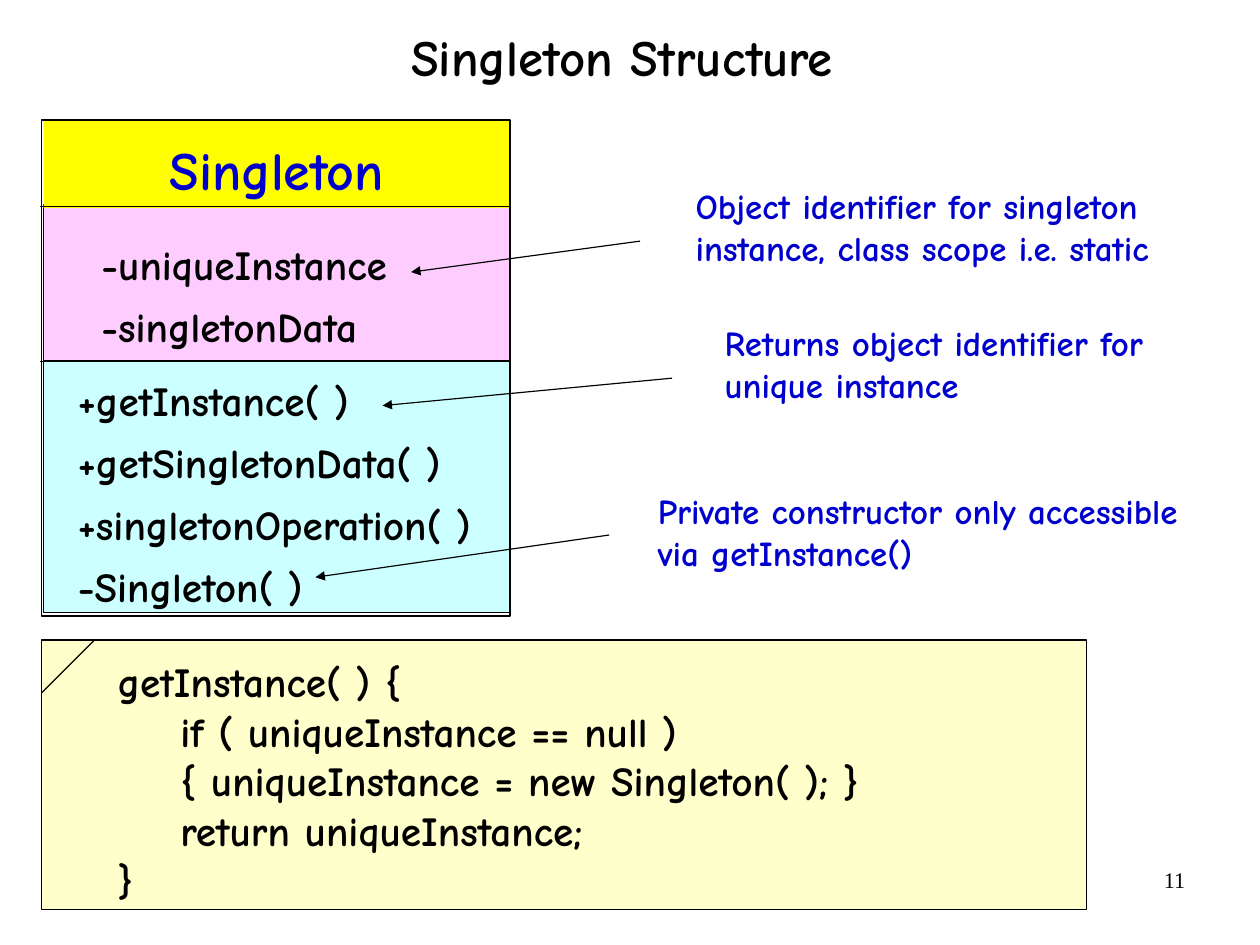
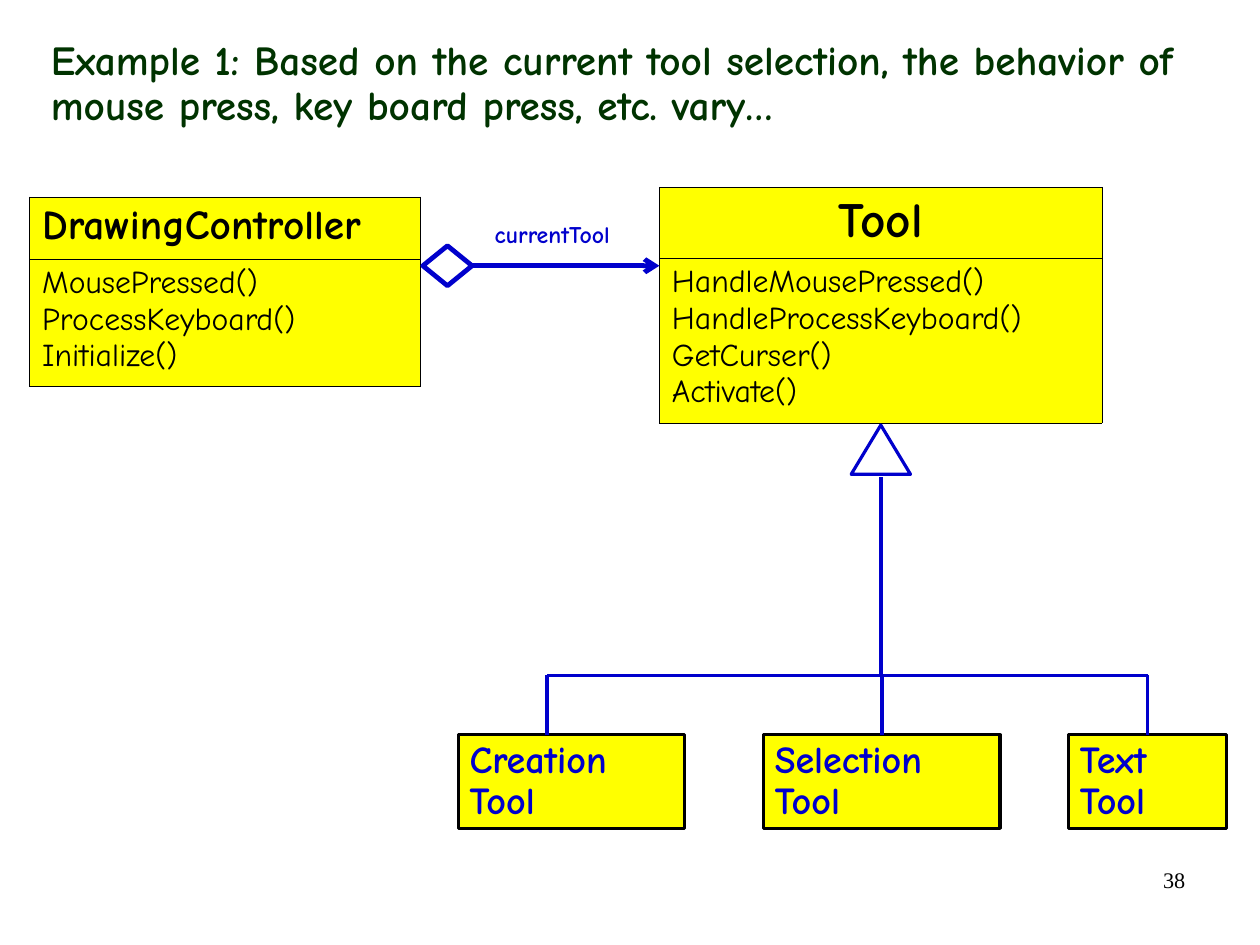
from dataclasses import dataclass

from lxml import etree
from pptx import Presentation
from pptx.dml.color import RGBColor
from pptx.enum.shapes import MSO_CONNECTOR, MSO_SHAPE
from pptx.enum.text import MSO_ANCHOR, PP_ALIGN
from pptx.oxml.ns import qn
from pptx.util import Pt


@dataclass(frozen=True)
class Theme:
    font: str = "Comic Neue"
    number_font: str = "Times New Roman"
    black: str = "000000"
    white: str = "FFFFFF"
    blue: str = "0000CC"
    green: str = "003300"
    yellow: str = "FFFF00"
    pink: str = "FFCCFF"
    cyan: str = "CCFFFF"
    cream: str = "FFFFCC"
    title: float = 32
    class_name: float = 34
    body: float = 26
    subclass: float = 24
    note: float = 22
    method: float = 20
    label: float = 15
    number: float = 14
    thin: float = 0.75
    cell_line: float = 0.45


T = Theme()
SLIDE_W, SLIDE_H = 793.75, 595.25
CODE_INDENT = 39.6

# Slide 1
ATTRIBUTES = ["-uniqueInstance", "-singletonData"]
OPERATIONS = ["+getInstance( )", "+getSingletonData( )",
              "+singletonOperation( )", "-Singleton( )"]
CODE = [
    ("getInstance( ) {", 0),
    ("if ( uniqueInstance == null )", 1),
    ("{ uniqueInstance = new Singleton( ); }", 1),
    ("return uniqueInstance;", 1),
    ("}", 0),
]
# lines, text box, arrow start, arrow end
NOTES = [
    (["Object identifier for singleton", "instance, class scope i.e. static"],
     (430.3, 111.9, 310, 60.5), (403.2, 151.9), (259, 171.4)),
    (["Returns object identifier for", "unique instance"],
     (448.6, 198.3, 295, 60.5), (423.4, 238.2), (241, 255.5)),
    (["Private constructor only accessible", "via getInstance()"],
     (406.5, 304.2, 355, 60.5), (383.8, 337), (198.7, 363.6)),
]

# Slide 2
EXAMPLE = ("Example 1: Based on the current tool selection, the behavior of "
           "mouse press, key board press, etc. vary…")
# name, name size, alignment, methods, left, top, width, row heights
CLASSES = [
    ("DrawingController", 26, PP_ALIGN.LEFT,
     ["MousePressed()", "ProcessKeyboard()", "Initialize()"],
     18.7, 124.1, 246.2, (39.4, 79.8)),
    ("Tool", 31, PP_ALIGN.CENTER,
     ["HandleMousePressed()", "HandleProcessKeyboard()", "GetCurser()", "Activate()"],
     415.4, 117.9, 278.8, (45, 103.6)),
]
# name, left, width, x of the branch line
SUBCLASSES = [
    ("Creation Tool", 288.7, 142.6, 344.7),
    ("Selection Tool", 481, 149, 555.5),
    ("Text Tool", 673.2, 99.4, 722.9),
]


def rgb(color):
    return RGBColor.from_string(color)


def points(*values):
    return [Pt(v) for v in values]


def write(tf, lines, size, color=T.black, bold=True, font=T.font,
          align=PP_ALIGN.LEFT, spacing=None, gap=0):
    """Write one paragraph per line; a line is text or (text, indent level)."""
    for i, line in enumerate(lines):
        text, level = line if isinstance(line, tuple) else (line, 0)
        p = tf.paragraphs[0] if i == 0 else tf.add_paragraph()
        p.alignment = align
        p.space_before = p.space_after = Pt(gap)
        if spacing:
            p.line_spacing = spacing
        if level:
            p._p.get_or_add_pPr().set("marL", str(Pt(level * CODE_INDENT)))
        r = p.add_run()
        r.text = text
        r.font.name, r.font.size, r.font.bold = font, Pt(size), bold
        r.font.color.rgb = rgb(color)


def set_frame(tf, insets, anchor=MSO_ANCHOR.TOP):
    tf.word_wrap = True
    tf.vertical_anchor = anchor
    (tf.margin_left, tf.margin_top,
     tf.margin_right, tf.margin_bottom) = points(*insets)


def add_text(s, box, lines, size, insets=(7.2, 3.6, 7.2, 3.6),
             anchor=MSO_ANCHOR.TOP, **style):
    tf = s.shapes.add_textbox(*points(*box)).text_frame
    set_frame(tf, insets, anchor)
    write(tf, lines, size, **style)


def add_box(s, box, fill=None, line=T.black, width=T.thin, kind=MSO_SHAPE.RECTANGLE):
    sp = s.shapes.add_shape(kind, *points(*box))
    sp.shadow.inherit = False
    if fill:
        sp.fill.solid()
        sp.fill.fore_color.rgb = rgb(fill)
    else:
        sp.fill.background()
    if line:
        sp.line.color.rgb = rgb(line)
        sp.line.width = Pt(width)
    else:
        sp.line.fill.background()
    return sp


def add_filled_text(s, box, fill, lines, size, insets, line=T.black, width=T.thin, **style):
    sp = add_box(s, box, fill, line, width)
    set_frame(sp.text_frame, insets)
    write(sp.text_frame, lines, size, **style)
    return sp


def add_line(s, start, end, color=T.black, width=T.thin, head=None):
    c = s.shapes.add_connector(MSO_CONNECTOR.STRAIGHT, *points(*start, *end))
    c.line.color.rgb = rgb(color)
    c.line.width = Pt(width)
    if head:
        etree.SubElement(c.line._get_or_add_ln(), qn("a:tailEnd"), type=head)
    etree.SubElement(c._element.spPr, qn("a:effectLst"))
    return c


def add_number(s, number):
    add_text(s, (568.8, 541.9, 185, 41), [number], T.number, bold=False,
             font=T.number_font, align=PP_ALIGN.RIGHT)


def style_cell(cell):
    cell.fill.solid()
    cell.fill.fore_color.rgb = rgb(T.yellow)
    (cell.margin_left, cell.margin_top,
     cell.margin_right, cell.margin_bottom) = points(7.9, 3.6, 7.9, 3.6)
    tc_pr = cell._tc.get_or_add_tcPr()
    for i, side in enumerate(("lnL", "lnR", "lnT", "lnB")):
        ln = etree.Element(qn(f"a:{side}"), w=str(Pt(T.cell_line)))
        fill = etree.SubElement(ln, qn("a:solidFill"))
        etree.SubElement(fill, qn("a:srgbClr"), val=T.black)
        tc_pr.insert(i, ln)


def add_class(s, name, size, align, methods, left, top, width, heights):
    frame = s.shapes.add_table(2, 1, *points(left, top, width, sum(heights)))
    table = frame.table
    table.first_row = table.horz_banding = False
    for row, height in zip(table.rows, heights):
        row.height = Pt(height)
        style_cell(row.cells[0])
    write(table.cell(0, 0).text_frame, [name], size, align=align)
    write(table.cell(1, 0).text_frame, methods, T.method, bold=False)


def build_structure(s):
    add_number(s, "11")
    add_text(s, (54.7, 0, 674.6, 76.4), ["Singleton Structure"], T.title,
             insets=(0, 0, 0, 0), anchor=MSO_ANCHOR.MIDDLE,
             align=PP_ALIGN.CENTER, spacing=0.88)

    left, width, attributes_y, operations_y = 27.4, 293.8, 128.9, 227.5
    add_filled_text(s, (left, operations_y, width, 158.4), T.cyan, OPERATIONS, T.body,
                    (21.6, 4.3, 0, 0), spacing=1.15, gap=1.6)
    add_filled_text(s, (left, attributes_y, width, operations_y - attributes_y), T.pink,
                    ATTRIBUTES, T.body, (36.4, 17.3, 0, 0), spacing=1.15, gap=1.6)
    add_filled_text(s, (left, 76.3, width, 54.7), T.yellow, ["Singleton"], T.class_name,
                    (7.9, 3.8, 7.9, 0), line=None, color=T.blue,
                    align=PP_ALIGN.CENTER, spacing=1.15, gap=2.1)
    add_box(s, (25.9, 75.6, 295.4, 312.5))
    for y, right in ((operations_y, 314.6), (130.3, 321.8)):
        add_line(s, (25.2, y), (right, y))

    for lines, box, start, end in NOTES:
        add_text(s, box, lines, T.note, insets=(7.9, 4.3, 7.9, 4.3), color=T.blue)
        add_line(s, start, end, head="triangle")

    x, y, fold = 26.4, 403.2, 33.1
    add_filled_text(s, (x, y, 658.1, 169.9), T.cream, CODE, T.body, (47.7, 10.5, 0, 0))
    add_line(s, (x + fold, y), (x, y + fold))


def build_example(s):
    add_number(s, "38")
    add_text(s, (25, 21.6, 768.7, 63.4), [EXAMPLE], T.body, color=T.green, spacing=0.9)
    for item in CLASSES:
        add_class(s, *item)

    bar_y, box_y, trunk_x = 425.5, 462.8, 554.9
    for name, left, width, x in SUBCLASSES:
        sp = add_filled_text(s, (left, box_y, width, 59), T.yellow, [name], T.subclass,
                             (7.2, 3.6, 7.2, 3.6), width=2, color=T.blue, spacing=0.9)
        branch = add_line(s, (x, bar_y), (x, box_y), T.blue, 2.25)
        if abs(left + width / 2 - x) < 0.5:
            branch.end_connect(sp, 0)
    add_line(s, (SUBCLASSES[0][3], bar_y), (SUBCLASSES[-1][3], bar_y), T.blue, 2.25)
    add_box(s, (trunk_x - 18.7, 267.8, 37.4, 31), T.white, T.blue, 2,
            MSO_SHAPE.ISOSCELES_TRIANGLE)
    add_line(s, (trunk_x, bar_y), (trunk_x, 300.2), T.blue, 2.25)

    diamond = add_box(s, (266.4, 154.8, 31, 25.2), T.white, T.blue, 3,
                      MSO_SHAPE.FLOWCHART_DECISION)
    arrow = add_line(s, (297.4, 167.4), (415.4, 167.4), T.blue, 3, "arrow")
    arrow.begin_connect(diamond, 3)
    add_text(s, (303.8, 136.1, 105.1, 24.5), ["currentTool"], T.label,
             insets=(7.9, 4.3, 7.9, 4.3), color=T.blue, spacing=0.9)


def main():
    prs = Presentation()
    prs.slide_width, prs.slide_height = points(SLIDE_W, SLIDE_H)
    for build in (build_structure, build_example):
        build(prs.slides.add_slide(prs.slide_layouts[6]))
    prs.save("out.pptx")


if __name__ == "__main__":
    main()
